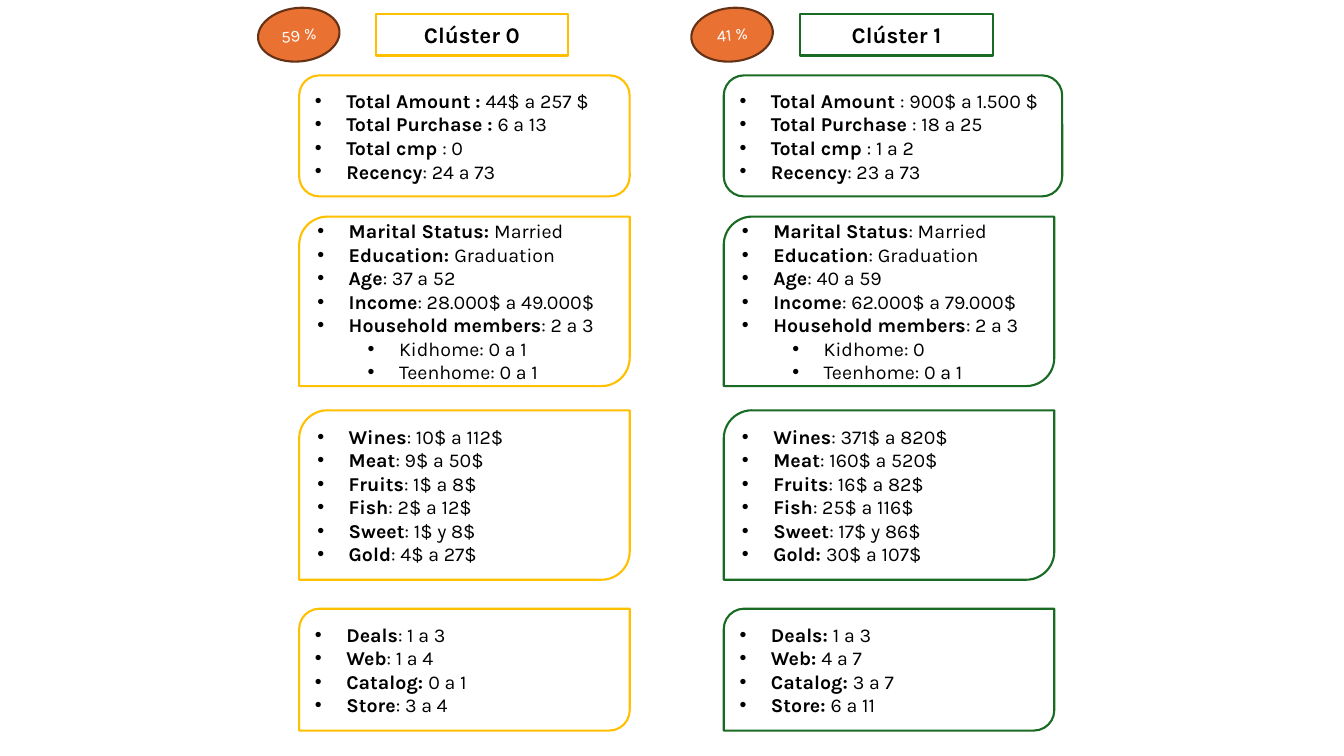
from lxml import etree
from pptx import Presentation
from pptx.dml.color import RGBColor
from pptx.enum.shapes import MSO_SHAPE
from pptx.enum.text import MSO_ANCHOR, PP_ALIGN
from pptx.oxml.ns import qn
from pptx.util import Cm, Pt

RECT = MSO_SHAPE.RECTANGLE
ROUND = MSO_SHAPE.ROUNDED_RECTANGLE
DIAG = MSO_SHAPE.ROUND_2_DIAG_RECTANGLE
OVAL = MSO_SHAPE.OVAL
MIDDLE = MSO_ANCHOR.MIDDLE
LEFT, CENTER = PP_ALIGN.LEFT, PP_ALIGN.CENTER

FONT = "Karla"
COLORS = {
    "gold": "FFC000",
    "green": "196B24",
    "orange": "E97132",
    "brown": "663216",
    "black": "000000",
    "white": "FFFFFF",
}

# Card outline, top and height in cm
CARDS = [
    (ROUND, 1.9, 3.05),
    (DIAG, 5.46, 4.27),
    (DIAG, 10.34, 4.27),
    (DIAG, 15.34, 3.07),
]
WIDTH = 8.33

# In each line, the part before "|" is bold; a line without it is a sub-item
CLUSTERS = [
    {
        "title": "Clúster 0", "share": "59 %", "color": "gold",
        "left": 7.54, "oval": 6.5, "first": WIDTH,
        "cards": [
            ["Total Amount :| 44$ a 257 $", "Total Purchase :| 6 a 13",
             "Total cmp |: 0", "Recency|: 24 a 73"],
            ["Marital Status: |Married", "Education: |Graduation",
             "Age|: 37 a 52", "Income|: 28.000$ a 49.000$",
             "Household members|: 2 a 3", "Kidhome: 0 a 1",
             "Teenhome: 0 a 1"],
            ["Wines|: 10$ a 112$", "Meat|: 9$ a 50$", "Fruits|: 1$ a 8$",
             "Fish|: 2$ a 12$", "Sweet|: 1$ y 8$", "Gold|: 4$ a 27$"],
            ["Deals|: 1 a 3", "Web|: 1 a 4", "Catalog: |0 a 1",
             "Store|: 3 a 4"],
        ],
    },
    {
        "title": "Clúster 1", "share": "41 %", "color": "green",
        "left": 18.24, "oval": 17.42, "first": 8.53,
        "cards": [
            ["Total Amount |: 900$ a 1.500 $", "Total Purchase |: 18 a 25",
             "Total cmp |: 1 a 2", "Recency|: 23 a 73"],
            ["Marital Status|: Married", "Education|: Graduation",
             "Age|: 40 a 59", "Income|: 62.000$ a 79.000$",
             "Household members|: 2 a 3", "Kidhome: 0",
             "Teenhome: 0 a 1"],
            ["Wines|: 371$ a 820$", "Meat|: 160$ a 520$",
             "Fruits|: 16$ a 82$", "Fish|: 25$ a 116$",
             "Sweet|: 17$ y 86$", "Gold: |30$ a 107$"],
            ["Deals: |1 a 3", "Web: |4 a 7", "Catalog: |3 a 7",
             "Store: |6 a 11"],
        ],
    },
]


def rgb(name):
    return RGBColor.from_string(COLORS[name])


def add_box(slide, kind, left, top, width, height, line, fill=None):
    box = slide.shapes.add_shape(
        kind, Cm(left), Cm(top), Cm(width), Cm(height))
    box.shadow.inherit = False
    if fill:
        box.fill.solid()
        box.fill.fore_color.rgb = rgb(fill)
    else:
        box.fill.background()
    box.line.color.rgb = rgb(line)
    box.line.width = Pt(1.5)
    box.text_frame.word_wrap = True
    box.text_frame.vertical_anchor = MIDDLE
    return box


def style(run, size, color="black", bold=False):
    run.font.name = FONT
    run.font.size = Pt(size)
    run.font.bold = bold
    run.font.color.rgb = rgb(color)


def add_label(box, text, size, color="black", bold=False):
    para = box.text_frame.paragraphs[0]
    para.text = text
    para.alignment = CENTER
    style(para.runs[0], size, color, bold)


def add_bullet(para, level):
    para.level = level
    para.alignment = LEFT
    props = para._p.get_or_add_pPr()
    props.set("marL", str(Cm(0.79 + 1.27 * level)))
    props.set("indent", str(-Cm(0.79)))
    etree.SubElement(props, qn("a:buFont")).set("typeface", "Arial")
    etree.SubElement(props, qn("a:buChar")).set("char", "•")


def add_list(box, lines):
    frame = box.text_frame
    for i, line in enumerate(lines):
        para = frame.add_paragraph() if i else frame.paragraphs[0]
        name, bar, value = line.partition("|")
        add_bullet(para, 0 if bar else 1)
        for text, bold in ((name, bool(bar)), (value, False)):
            if text:
                run = para.add_run()
                run.text = text
                style(run, 14, bold=bold)


def add_cluster(slide, data):
    left, color = data["left"], data["color"]
    for i, (kind, top, height) in enumerate(CARDS):
        width = WIDTH if i else data["first"]
        card = add_box(slide, kind, left, top, width, height, color)
        add_list(card, data["cards"][i])
    title = add_box(slide, RECT, left + 1.93, 0.36, 4.85, 1.04, color)
    add_label(title, data["title"], 16, bold=True)
    oval = add_box(slide, OVAL, data["oval"], 0.2, 2.06, 1.35,
                   "brown", "orange")
    oval.rotation = 354.1
    add_label(oval, data["share"], 12, "white")


def main():
    deck = Presentation()
    deck.slide_width, deck.slide_height = Cm(33.87), Cm(19.05)
    slide = deck.slides.add_slide(deck.slide_layouts[6])
    for data in CLUSTERS:
        add_cluster(slide, data)
    deck.save("out.pptx")


if __name__ == "__main__":
    main()
